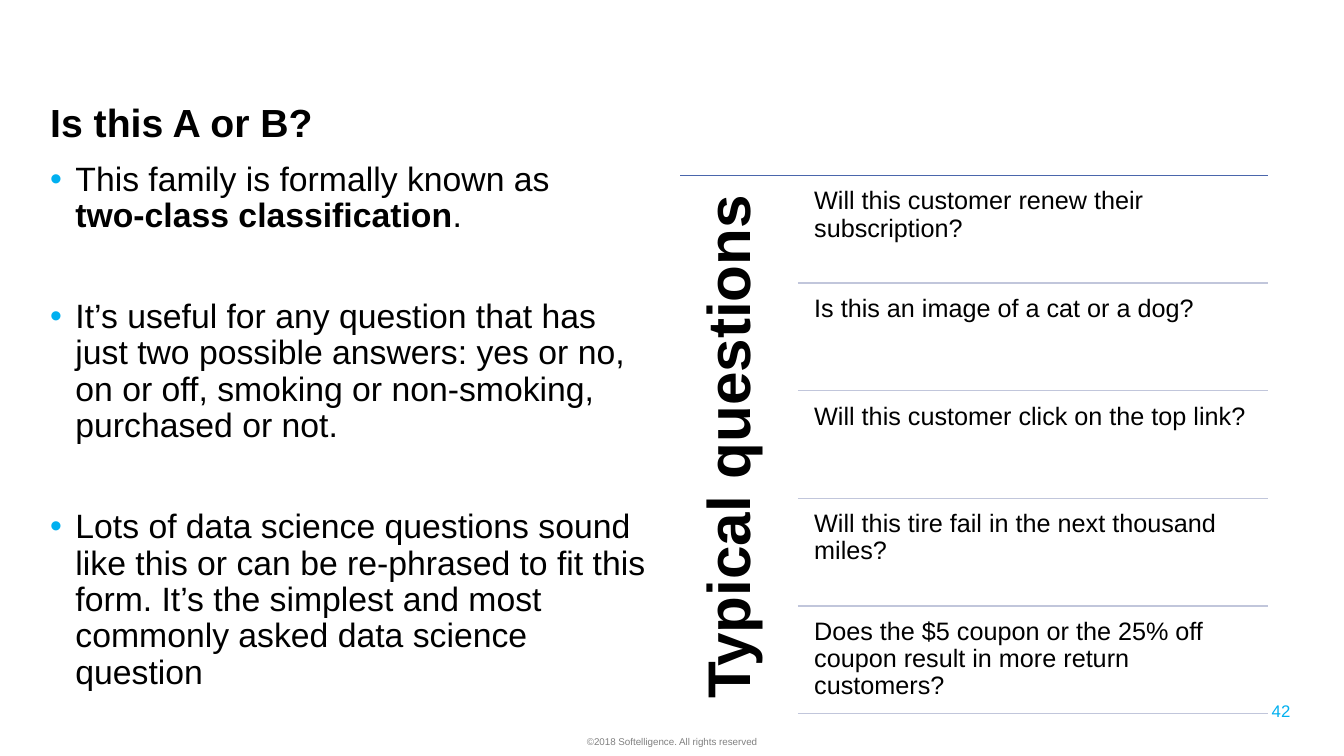
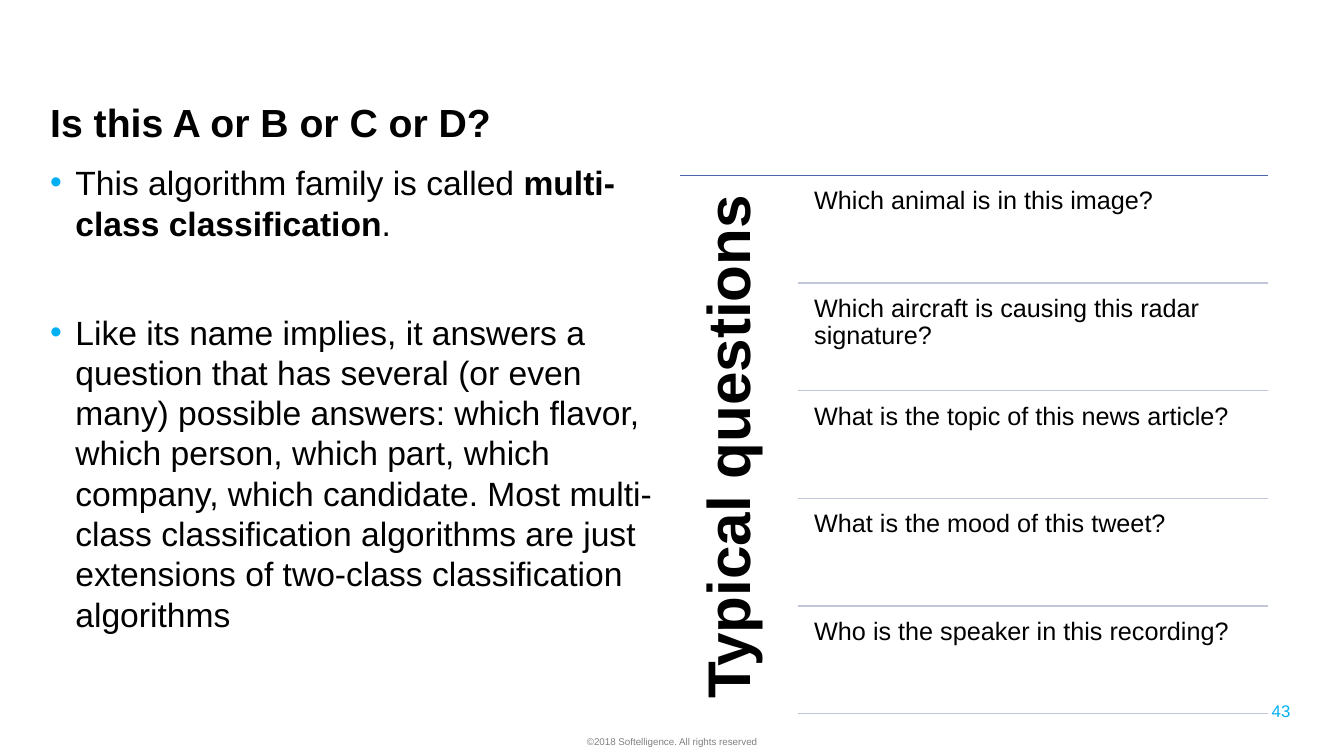
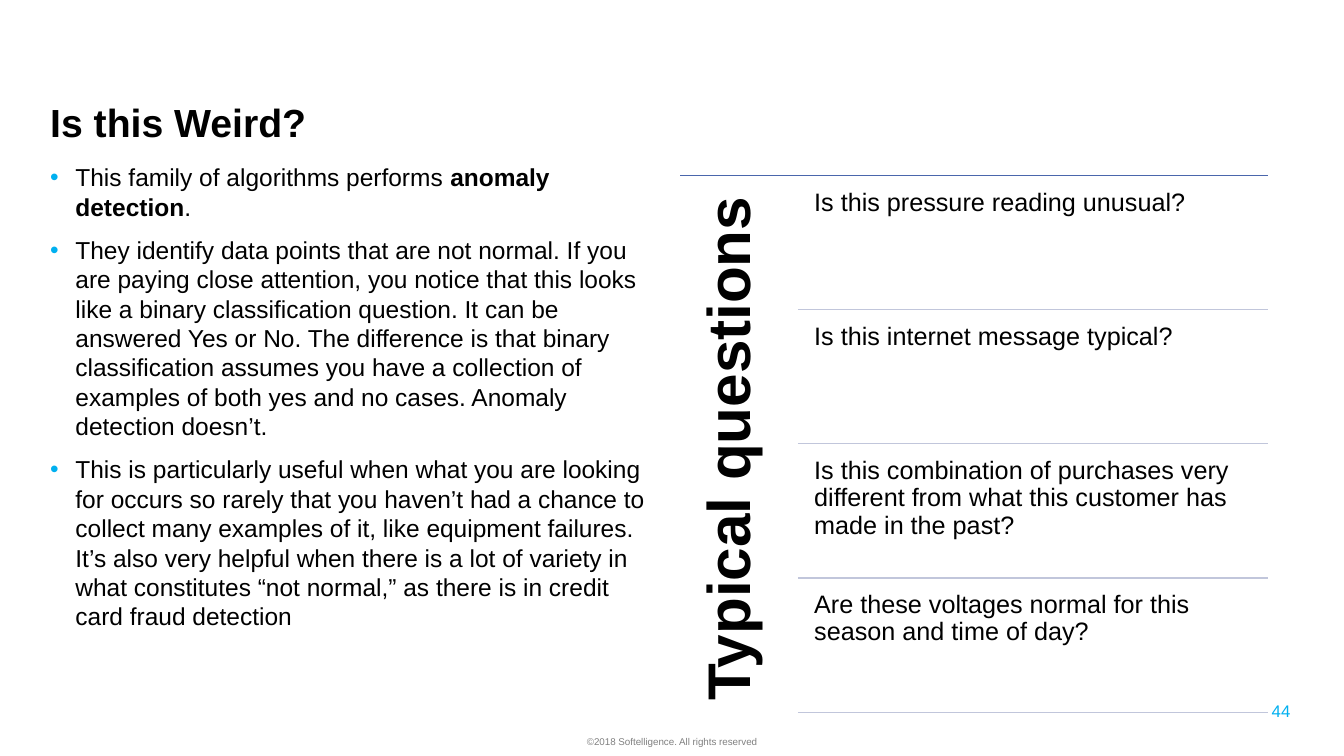
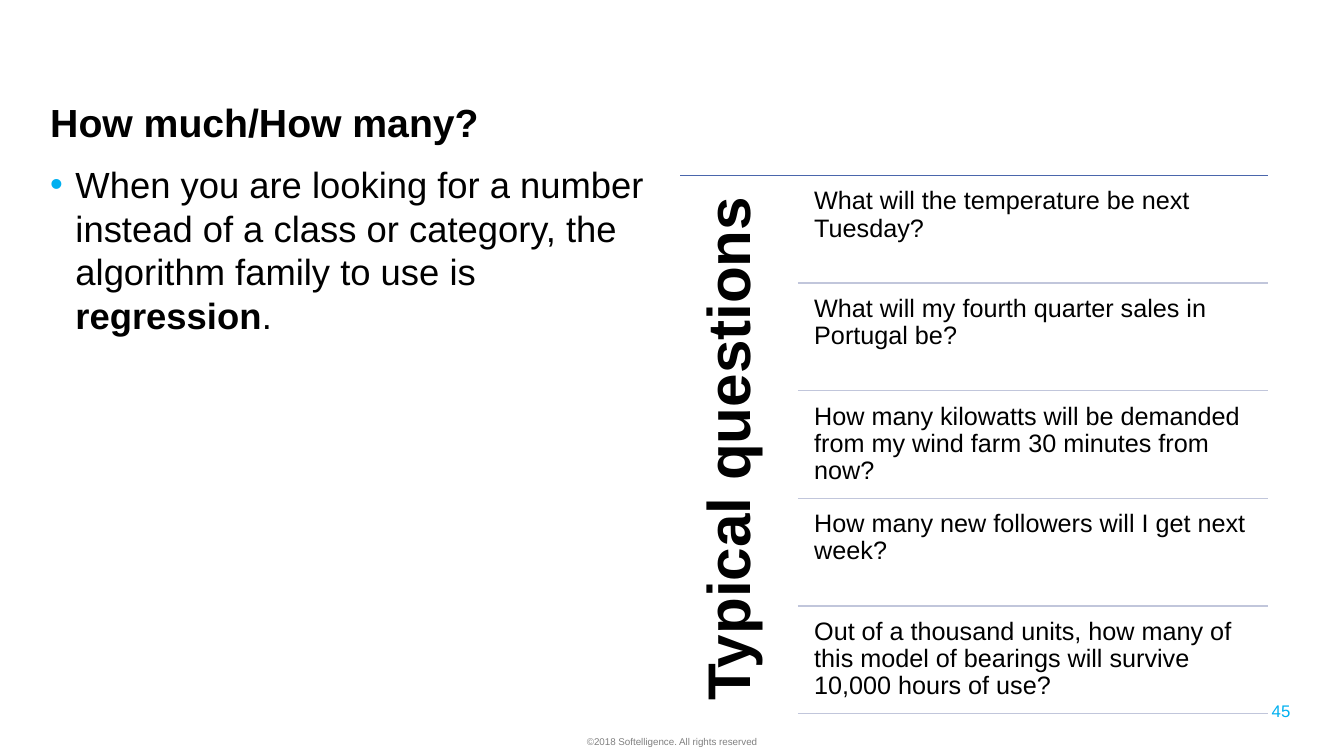
from lxml import etree
from pptx import Presentation
from pptx.dml.color import RGBColor
from pptx.enum import shapes, text
from pptx.oxml.ns import qn
from pptx.util import Pt

# Content: a body item is a list of (words, bold) runs
PAGES = [
    dict(
        title="Is this A or B?", size=24.1, lead=0.9, gap=46, side="center",
        body=[
            [("This family is formally known as\v", False),
             ("two-class classification", True), (".", False)],
            [("It’s useful for any question that has just two possible answers: "
              "yes or no, on or off, smoking or non-smoking, purchased or not.", False)],
            [("Lots of data science questions sound like this or can be re-phrased "
              "to fit this form. It’s the simplest and most commonly asked data "
              "science question", False)],
        ],
        asks=[
            "Will this customer renew their subscription?",
            "Is this an image of a cat or a dog?",
            "Will this customer click on the top link?",
            "Will this tire fail in the next thousand miles?",
            "Does the $5 coupon or the 25% off coupon result in more return customers?",
        ]),
    dict(
        title="Is this A or B or C or D?", size=24, lead=1.0, gap=49, side="center",
        body=[
            [("This algorithm family is called ", False),
             ("multi-class classification", True), (".", False)],
            [("Like its name implies, it answers a question that has several (or "
              "even many) possible answers: which flavor, which person, which part, "
              "which company, which candidate. Most multi-class classification "
              "algorithms are just extensions of two-class classification "
              "algorithms", False)],
        ],
        asks=[
            "Which animal is in this image?",
            "Which aircraft is causing this radar signature?",
            "What is the topic of this news article?",
            "What is the mood of this tweet?",
            "Who is the speaker in this recording?",
        ]),
    dict(
        title="Is this Weird?", size=17.5, lead=1.0, gap=10, side="left",
        body=[
            [("This family of algorithms performs ", False),
             ("anomaly detection", True), (".", False)],
            [("They identify data points that are not normal. If you are paying "
              "close attention, you notice that this looks like a binary "
              "classification question. It can be answered Yes or No. The "
              "difference is that binary classification assumes you have a "
              "collection of examples of both yes and no cases. Anomaly detection "
              "doesn’t.", False)],
            [("This is particularly useful when what you are looking for occurs so "
              "rarely that you haven’t had a chance to collect many examples of it, "
              "like equipment failures. It’s also very helpful when there is a lot "
              "of variety in what constitutes “not normal,” as there is in credit "
              "card fraud detection", False)],
        ],
        asks=[
            "Is this pressure reading unusual?",
            "Is this internet message typical?",
            "Is this combination of purchases very different from what this customer "
            "has made in the past?",
            "Are these voltages normal for this season and time of day?",
        ]),
    dict(
        title="How much/How many?", size=26, lead=1.0, gap=10, side="left",
        body=[
            [("When you are looking for a number instead of a class or category, "
              "the algorithm family to use is ", False),
             ("regression", True), (".", False)],
        ],
        asks=[
            "What will the temperature be next Tuesday?",
            "What will my fourth quarter sales in Portugal be?",
            "How many kilowatts will be demanded from my wind farm 30 minutes from now?",
            "How many new followers will I get next week?",
            "Out of a thousand units, how many of this model of bearings will survive "
            "10,000 hours of use?",
        ]),
]
SIDE = "Typical questions"
FOOT = "©2018 Softelligence. All rights reserved"
FIRST = 42

# Shared look, lengths in points
FONT = "Arial"
HUES = dict(ink="000000", cyan="00B0F0", gray="808080", rule="4A66AC", pale="C1C6DB")
WIDE, HIGH = 960, 540
LEFT, RIGHT = 28.8, 905.8
LIST_X, LIST_Y, LIST_H = 486, 125.3, 388
SIDE_W, ASK_X = 84, 576.2
ALIGN = dict(left=text.PP_ALIGN.LEFT, center=text.PP_ALIGN.CENTER,
             right=text.PP_ALIGN.RIGHT)


def hue(name):
    return RGBColor.from_string(HUES[name])


def bullet(para):
    props = para._p.get_or_add_pPr()
    props.set("marL", str(Pt(18)))
    props.set("indent", str(Pt(-18)))
    tint = etree.SubElement(props, qn("a:buClr"))
    etree.SubElement(tint, qn("a:srgbClr"), val=HUES["cyan"])
    etree.SubElement(props, qn("a:buFont"), typeface=FONT)
    etree.SubElement(props, qn("a:buChar"), char="•")


def write(slide, paras, x, y, w, h, size=18, color="ink", bold=False, align="left",
          lead=1.0, gap=0, inset=None, mid=False, dots=False, turn=False):
    """Add a text box; paras is a string or a list of lists of (words, bold)."""
    if isinstance(paras, str):
        paras = [[(paras, bold)]]
    frame = slide.shapes.add_textbox(Pt(x), Pt(y), Pt(w), Pt(h)).text_frame
    frame.word_wrap = True
    if mid:
        frame.vertical_anchor = text.MSO_ANCHOR.MIDDLE
    if inset is not None:
        frame.margin_left = frame.margin_right = Pt(inset)
        frame.margin_top = frame.margin_bottom = Pt(inset)
    if turn:
        frame._txBody.bodyPr.set("vert", "vert270")
    for i, runs in enumerate(paras):
        para = frame.add_paragraph() if i else frame.paragraphs[0]
        if dots:
            bullet(para)
        para.alignment = ALIGN[align]
        para.line_spacing = lead
        if i:
            para.space_before = Pt(gap)
        for words, heavy in runs:
            head, *rest = words.split("\v")
            for j, part in enumerate([head] + rest):
                if j:
                    para.add_line_break()
                if not part:
                    continue
                run = para.add_run()
                run.text = part
                run.font.name, run.font.size = FONT, Pt(size)
                run.font.bold, run.font.color.rgb = heavy, hue(color)


def rule(slide, x, y, color):
    line = slide.shapes.add_connector(shapes.MSO_CONNECTOR.STRAIGHT,
                                      Pt(x), Pt(y), Pt(RIGHT), Pt(y))
    line.line.color.rgb = hue(color)
    line.line.width = Pt(1)
    etree.SubElement(line._element.spPr, qn("a:effectLst"))


def ask_list(slide, asks, align):
    # Rows of equal height, with a gap of 5% of a row around each
    row = LIST_H / (len(asks) * 1.05 + 0.05)
    gap = row * 0.05
    rule(slide, LIST_X, LIST_Y, "rule")
    write(slide, SIDE, LIST_X, LIST_Y, SIDE_W, LIST_H, size=43, bold=True,
          align=align, lead=0.9, inset=13, turn=True)
    for i, ask in enumerate(asks):
        top = LIST_Y + gap + i * (row + gap)
        write(slide, ask, ASK_X, top, 329, row, lead=0.9, inset=5.4)
        rule(slide, LIST_X + SIDE_W, top + row, "pale")


def build(deck, page, num):
    slide = deck.slides.add_slide(deck.slide_layouts[6])
    write(slide, page["title"], LEFT, 67.7, 877, 38.9, size=28, bold=True, mid=True)
    write(slide, page["body"], LEFT, 112.3, 445.7, 401, size=page["size"],
          lead=page["lead"], gap=page["gap"], dots=True)
    ask_list(slide, page["asks"], page["side"])
    # Page number and footer
    write(slide, str(num), 712.8, 493.2, 216, 28.8, size=12, color="cyan",
          align="right", mid=True)
    write(slide, FOOT, 0, 522, WIDE, 18.7, size=7, color="gray", align="center")


def main():
    deck = Presentation()
    deck.slide_width, deck.slide_height = Pt(WIDE), Pt(HIGH)
    for num, page in enumerate(PAGES, FIRST):
        build(deck, page, num)
    deck.save("out.pptx")


if __name__ == "__main__":
    main()
